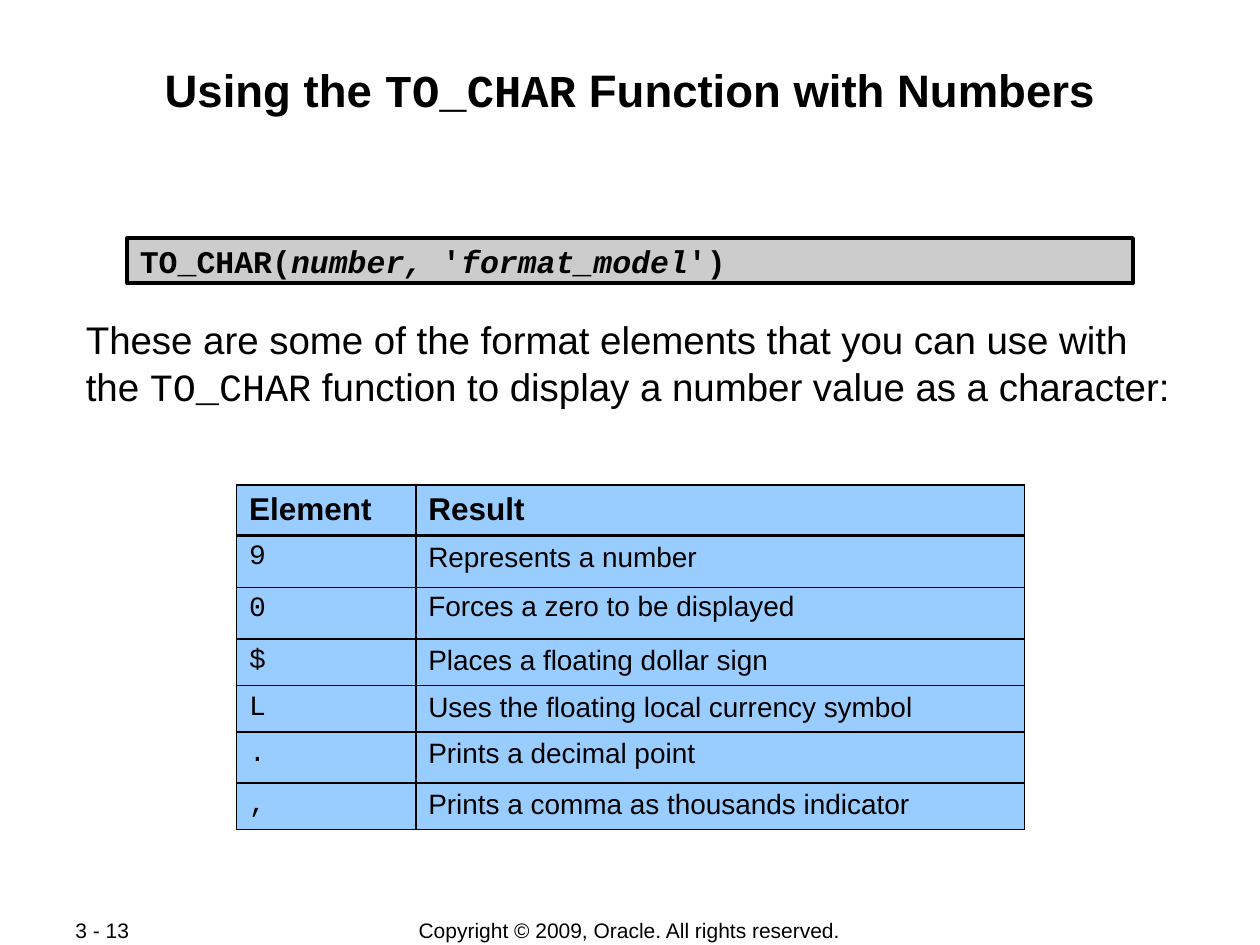
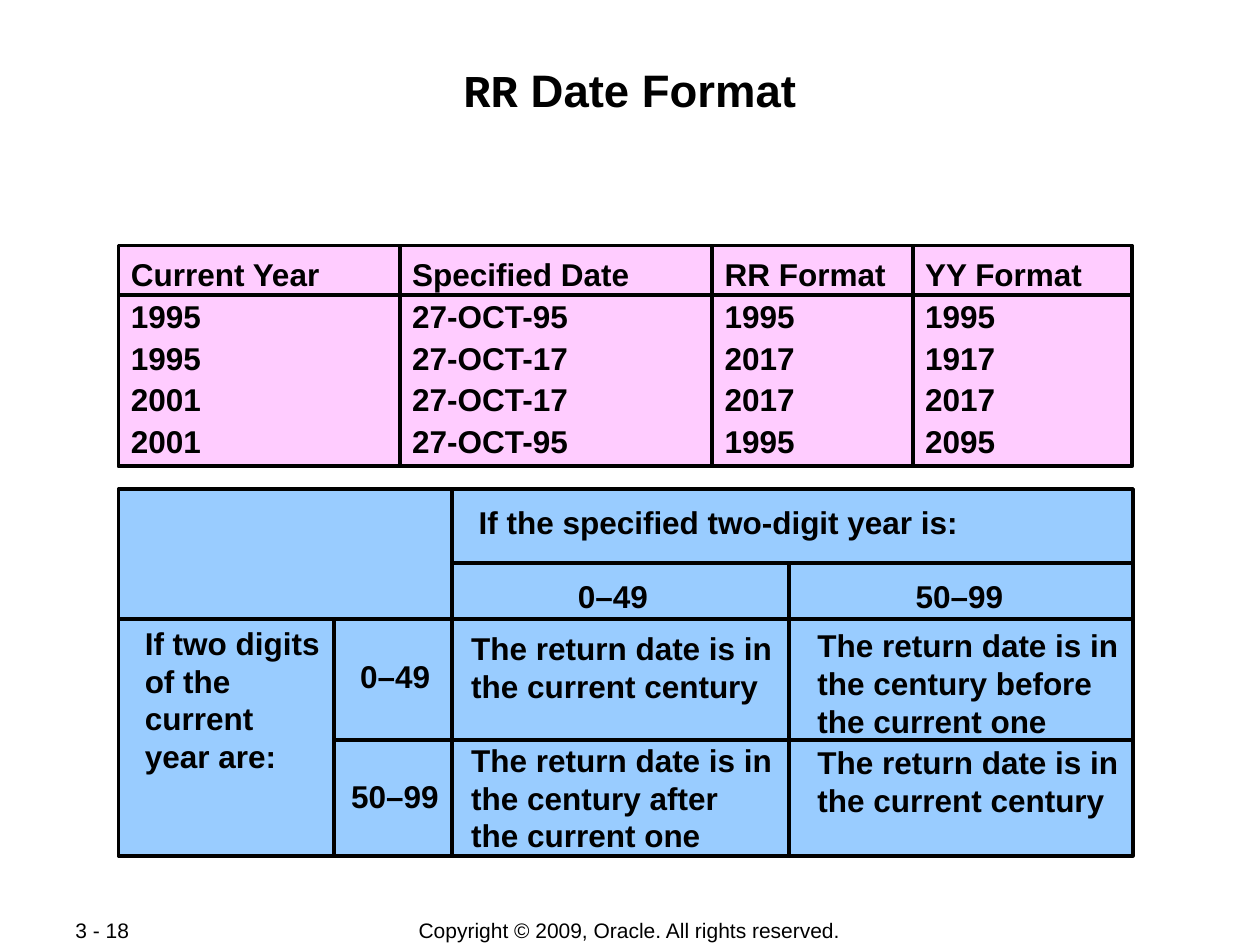
from itertools import accumulate

from lxml import etree
from pptx import Presentation
from pptx.dml.color import RGBColor
from pptx.enum.shapes import MSO_CONNECTOR, MSO_SHAPE
from pptx.enum.text import MSO_ANCHOR, MSO_AUTO_SIZE, PP_ALIGN
from pptx.oxml.ns import qn
from pptx.util import Cm, Pt

RECTANGLE = MSO_SHAPE.RECTANGLE
STRAIGHT = MSO_CONNECTOR.STRAIGHT
TOP, MIDDLE = MSO_ANCHOR.TOP, MSO_ANCHOR.MIDDLE
LEFT, CENTER = PP_ALIGN.LEFT, PP_ALIGN.CENTER
NO_AUTO_SIZE = MSO_AUTO_SIZE.NONE

SANS, MONO = "Arial", "Courier New"
BLACK, GREY, BLUE, PINK = "000000", "CCCCCC", "99CCFF", "FFCCFF"
RULE_WIDTH = 2.25
COPYRIGHT = "Copyright © 2009, Oracle. All rights reserved."
TITLE_AND_BODY, TITLE_ONLY = 1, 5


def color(hex_string):
    return RGBColor.from_string(hex_string)


def place(shape, left, top, width, height):
    shape.left, shape.top = Cm(left), Cm(top)
    shape.width, shape.height = Cm(width), Cm(height)


def set_cell_borders(cell, widths):
    """Draw black cell edges; widths maps lnL, lnR, lnT and lnB to points."""
    properties = cell._tc.get_or_add_tcPr()
    for index, (tag, width) in enumerate(widths.items()):
        edge = etree.Element(qn(f"a:{tag}"), w=str(Pt(width)))
        fill = etree.SubElement(edge, qn("a:solidFill"))
        etree.SubElement(fill, qn("a:srgbClr"), val=BLACK)
        properties.insert(index, edge)


class Deck:
    """Holds the presentation, its style and the slide being built."""

    def __init__(self):
        self.presentation = Presentation()
        self.presentation.slide_width = Cm(25.4)
        self.presentation.slide_height = Cm(19.05)
        self.slide = None

    def start_slide(self, layout, title_runs, page):
        layouts = self.presentation.slide_layouts
        self.slide = self.presentation.slides.add_slide(layouts[layout])
        self.fill_placeholder(self.slide.shapes.title, (1.7, 1.22, 22, 2.44),
                              title_runs, size=26, bold=True, align=CENTER)
        footer = {"size": 12, "bold": False, "anchor": MIDDLE}
        self.text(COPYRIGHT, 6.99, 18.49, 11.4, 0.53, align=CENTER, **footer)
        self.text(page, 1.27, 18.49, 2.69, 0.53, **footer)

    def add_runs(self, paragraph, runs, size=18, bold=True, align=LEFT,
                 line_spacing=1.0):
        """Add (text, font name, italic) runs to a paragraph."""
        paragraph.alignment = align
        paragraph.line_spacing = line_spacing
        paragraph.space_before = Pt(0)
        for text, font_name, italic in runs:
            run = paragraph.add_run()
            run.text = text
            run.font.name = font_name
            run.font.size = Pt(size)
            run.font.bold = bold
            run.font.italic = italic
            run.font.color.rgb = color(BLACK)

    def fill_placeholder(self, placeholder, box, runs, **style):
        place(placeholder, *box)
        frame = placeholder.text_frame
        frame.auto_size = NO_AUTO_SIZE
        frame.vertical_anchor = TOP
        frame.margin_left = frame.margin_right = Cm(0.03)
        frame.margin_top = frame.margin_bottom = Cm(0.03)
        properties = frame.paragraphs[0]._p.get_or_add_pPr()
        properties.set("marL", "0")
        properties.set("indent", "0")
        etree.SubElement(properties, qn("a:buNone"))
        self.add_runs(frame.paragraphs[0], runs, **style)

    def body(self, runs, box):
        self.fill_placeholder(self.slide.placeholders[1], box, runs,
                              size=22, bold=False)

    def text(self, text, left, top, width, height, anchor=TOP, **style):
        """Add a text box; a newline in the text becomes a line break."""
        shape = self.slide.shapes.add_textbox(
            Cm(left), Cm(top), Cm(width), Cm(height))
        shape.text_frame.word_wrap = True
        shape.text_frame.vertical_anchor = anchor
        paragraph = shape.text_frame.paragraphs[0]
        for index, line in enumerate(text.split("\n")):
            if index:
                paragraph.add_line_break()
            self.add_runs(paragraph, [(line, SANS, False)], **style)

    def box(self, fill, left, top, width, height, paragraphs=(), anchor=TOP,
            **style):
        """Add an outlined rectangle; paragraphs is a list of run lists."""
        shape = self.slide.shapes.add_shape(
            RECTANGLE, Cm(left), Cm(top), Cm(width), Cm(height))
        shape.shadow.inherit = False
        shape.fill.solid()
        shape.fill.fore_color.rgb = color(fill)
        shape.line.color.rgb = color(BLACK)
        shape.line.width = Pt(RULE_WIDTH)
        frame = shape.text_frame
        frame.word_wrap = True
        frame.vertical_anchor = anchor
        for index, runs in enumerate(paragraphs):
            paragraph = frame.add_paragraph() if index else frame.paragraphs[0]
            self.add_runs(paragraph, runs, **style)

    def line(self, start_x, start_y, end_x, end_y):
        connector = self.slide.shapes.add_connector(
            STRAIGHT, Cm(start_x), Cm(start_y), Cm(end_x), Cm(end_y))
        connector.line.color.rgb = color(BLACK)
        connector.line.width = Pt(RULE_WIDTH)
        etree.SubElement(connector._element.spPr, qn("a:effectLst"))

    def table(self, left, top, column_widths, rows):
        """Each row is (height, cells); a cell is (text, font, line spacing)."""
        table = self.slide.shapes.add_table(
            len(rows), len(column_widths), Cm(left), Cm(top),
            Cm(sum(column_widths)), Cm(sum(row[0] for row in rows))).table
        table.first_row = table.horz_banding = False
        for column, width in zip(table.columns, column_widths):
            column.width = Cm(width)
        for row_index, (height, cells) in enumerate(rows):
            table.rows[row_index].height = Cm(height)
            header = row_index == 0
            widths = {"lnL": 1.08, "lnR": 1.08,
                      "lnT": 2.21 if row_index == 1 else 1.08,
                      "lnB": 2.21 if header else 1.08}
            for column_index, (text, font_name, spacing) in enumerate(cells):
                cell = table.cell(row_index, column_index)
                cell.fill.solid()
                cell.fill.fore_color.rgb = color(BLUE)
                set_cell_borders(cell, widths)
                self.add_runs(cell.text_frame.paragraphs[0],
                              [(text, font_name, False)], bold=header,
                              size=18 if header else 16, line_spacing=spacing)


def build_number_formats(deck):
    deck.start_slide(TITLE_AND_BODY, [
        ("Using the ", SANS, False), ("TO_CHAR", MONO, False),
        (" Function with Numbers", SANS, False)], "3 - 13")
    deck.body([
        ("These are some of the format elements that you can use with the ",
         SANS, False),
        ("TO_CHAR", MONO, False),
        (" function to display a number value as a character:", SANS, False),
    ], (1.7, 6.35, 22, 2.77))

    elements = [
        (1.04, "9", 0.9, "Represents a number", 1.0),
        (1.04, "0", 0.9, "Forces a zero to be displayed", 0.9),
        (0.94, "$", 0.95, "Places a floating dollar sign", 1.0),
        (0.94, "L", 0.95, "Uses the floating local currency symbol", 1.0),
        (1.02, ".", 0.95, "Prints a decimal point", 1.0),
        (0.94, ",", 0.95, "Prints a comma as thousands indicator", 1.0),
    ]
    header = (1.02, [("Element", SANS, 1.0), ("Result", SANS, 1.0)])
    deck.table(4.77, 9.78, [3.61, 12.27], [header] + [
        (height, [(element, MONO, element_spacing),
                  (result, SANS, result_spacing)])
        for height, element, element_spacing, result, result_spacing
        in elements])

    syntax = [("TO_CHAR(", MONO, False), ("number, ", MONO, True),
              ("'", MONO, False), ("format_model", MONO, True),
              ("')", MONO, False)]
    deck.box(GREY, 2.57, 4.8, 20.27, 0.91, [syntax], anchor=MIDDLE)


def build_date_format(deck):
    deck.start_slide(TITLE_ONLY, [("RR", MONO, False),
                                  (" Date Format", SANS, False)], "3 - 18")
    left, right = 2.39, 22.84

    columns = [
        (5.67, ["Current Year", "1995", "1995", "2001", "2001"]),
        (6.3, ["Specified Date", "27-OCT-95", "27-OCT-17", "27-OCT-17",
               "27-OCT-95"]),
        (4.04, ["RR Format", "1995", "2017", "2017", "1995"]),
        (4.42, ["YY Format", "1995", "1917", "2017", "2095"]),
    ]
    column_lefts = accumulate((width for width, _ in columns), initial=left)
    for column_left, (width, values) in zip(column_lefts, columns):
        deck.box(PINK, column_left, 4.95, width, 4.45,
                 [[(value, SANS, False)] for value in values],
                 line_spacing=1.1)
    deck.line(left, 5.94, right, 5.94)

    panel_top, panel_bottom = 9.86, 17.25
    header_bottom, years_bottom, middle = 11.35, 12.48, 14.91
    label_right, results_left, results_middle = 6.73, 9.12, 15.9
    deck.box(BLUE, left, panel_top, right - left, panel_bottom - panel_top)
    deck.box(BLUE, results_left, panel_top, right - results_left,
             header_bottom - panel_top)
    deck.line(left, years_bottom, right, years_bottom)
    deck.line(label_right, middle, right, middle)
    deck.line(label_right, years_bottom, label_right, panel_bottom)
    for x in (results_left, results_middle):
        deck.line(x, header_bottom, x, panel_bottom)

    same_century = "The return date is in the current century"
    for label in [
        ("If the specified two-digit year is:", 9.4, 10.01, 11.38, 1.02),
        ("0–49", 11.4, 11.51, 3.25, 1.02),
        ("50–99", 18.21, 11.51, 3.2, 1.02),
        ("If two digits of the current\nyear are:", 2.67, 12.45, 4.34, 3.3),
        ("0–49", 7.01, 13.13, 2.64, 1.02),
        ("50–99", 6.83, 15.54, 3.23, 1.02),
        (same_century, 9.25, 12.55, 6.83, 1.78),
        ("The return date is in the century before the current one",
         16.23, 12.5, 6.83, 2.54),
        ("The return date is in the century after the current one",
         9.25, 14.81, 6.58, 2.54),
        (same_century, 16.23, 14.86, 6.83, 1.78),
    ]:
        deck.text(*label)


def main():
    deck = Deck()
    build_number_formats(deck)
    build_date_format(deck)
    deck.presentation.save("out.pptx")


if __name__ == "__main__":
    main()
